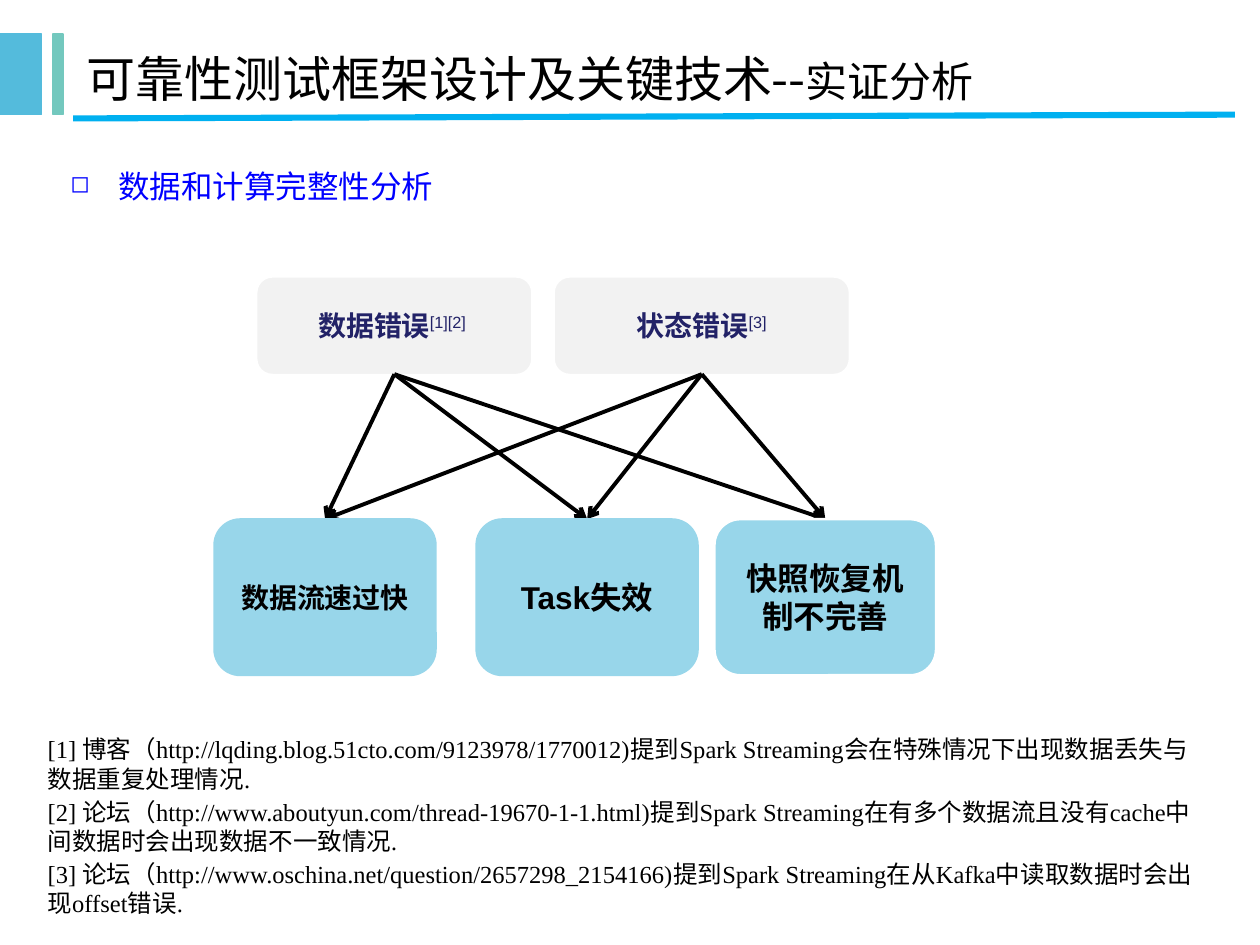
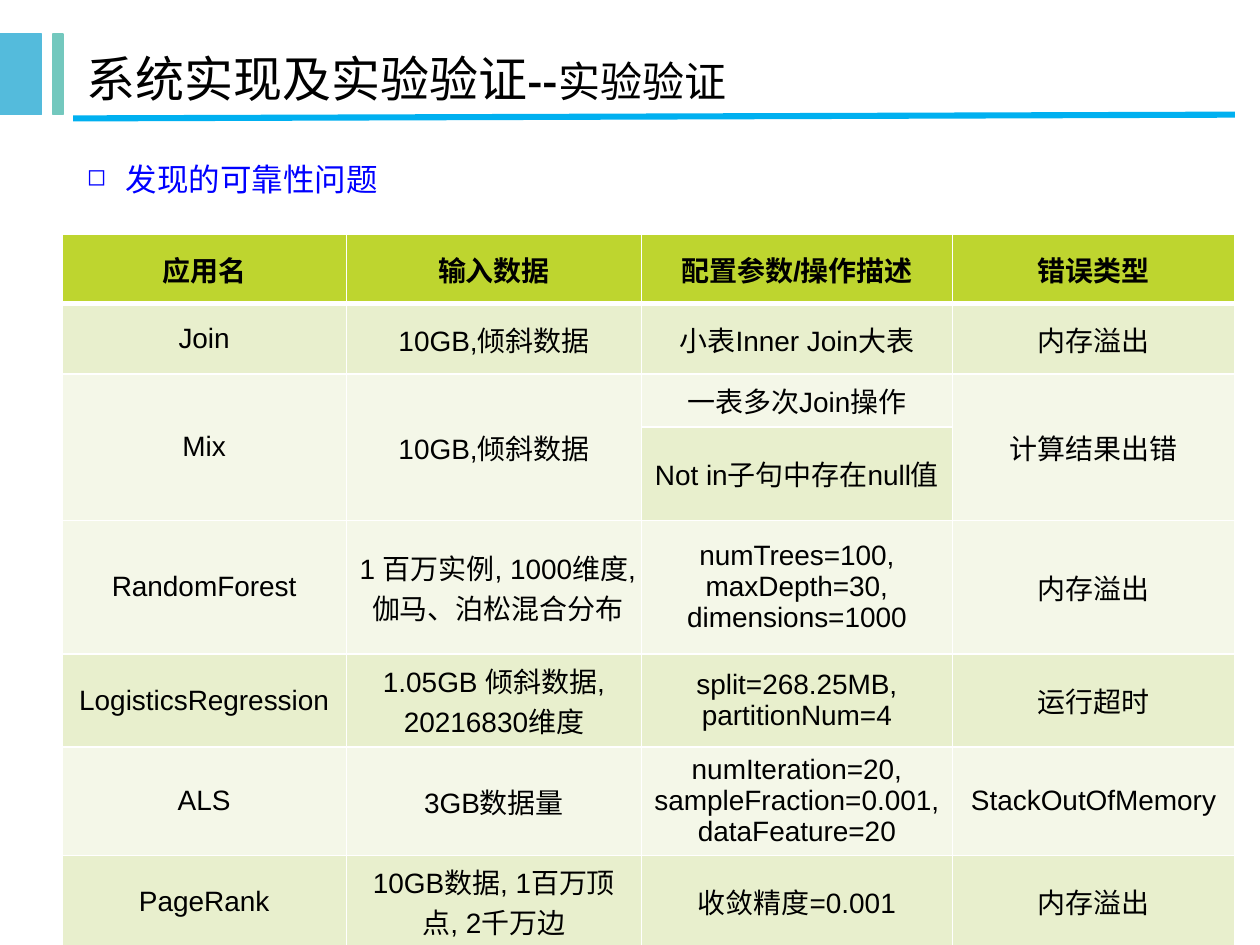
from pptx import Presentation
from pptx.dml.color import RGBColor as Rgb
from pptx.enum.shapes import MSO_CONNECTOR as Conn, MSO_SHAPE as Shp
from pptx.enum.text import MSO_ANCHOR as Anc, MSO_AUTO_SIZE as Fit, PP_ALIGN as Al
from pptx.oxml.ns import qn
from pptx.util import Inches, Pt
from lxml.etree import SubElement as Sub

hues = {
    "bar": "54BBDC", "strip": "73C8BE", "rule": "00B0F0", "black": "000000",
    "white": "FFFFFF", "blue": "0000FF", "navy": "222267", "grey": "F2F2F2",
    "sky": "98D6EA", "head": "BED52F", "odd": "E8EFCD", "even": "F4F7E8",
}
cjk = "Noto Sans CJK SC"


def rgb(key):
    return Rgb.from_string(hues[key])


def put(frame, text, size=16, font="Arial", east=None, hue="black", bold=False,
        align=Al.LEFT, anchor=Anc.TOP, gap=0, indent=0):
    frame.word_wrap = True
    frame.vertical_anchor = anchor
    paras = text if isinstance(text, list) else [text]
    for i, runs in enumerate(paras):
        para = frame.paragraphs[0] if i == 0 else frame.add_paragraph()
        para.alignment = align
        para.space_before = Pt(gap if i else 0)
        para.space_after = Pt(gap)
        if indent:
            props = para._p.get_or_add_pPr()
            props.set("marL", str(Inches(indent)))
            props.set("indent", str(-Inches(indent)))
            Sub(props, qn("a:buSzPct"), val="75000")
            Sub(props, qn("a:buChar"), char="◻")
        for part in [(runs, {})] if isinstance(runs, str) else runs:
            run = para.add_run()
            run.text, look = part
            face = run.font
            face.name = font
            face.size = Pt(look.get("size", size))
            face.bold = look.get("bold", bold)
            face.italic = look.get("slant", False)
            face.color.rgb = rgb(hue)
            mark = run._r.get_or_add_rPr()
            Sub(mark, qn("a:ea"), typeface=east or font)
            if look.get("sup"):
                mark.set("baseline", "30000")


deck = Presentation()
deck.slide_width, deck.slide_height = Inches(10), Inches(7.5)

heads = [
    [("可靠性测试框架设计及关键技术--", {}), ("实证分析", {"size": 24})],
    [("系统实现及实验验证", {}), ("--", {"size": 24, "bold": True}), ("实验验证", {"size": 24})],
]
topics = [
    ("数据和计算完整性分析", 0.46, 1.28, 6.67, 0.7, 0.38),
    ("发现的可靠性问题", 0.59, 1.22, 7.52, 0.4, 0.31),
]
tops = [
    (2.03, 2.2, [("数据错误", {}), ("[1][2] ", {"bold": False, "sup": True})]),
    (4.39, 2.36, [("状态错误", {}), ("[3]", {"bold": False, "sup": True})]),
]
lows = [
    (1.7, "数据流速过快", 16, "sky", 1),
    (3.78, "Task失效", 18, "sky", 1),
    (5.67, "快照恢复机制不完善", 18, "white", 1.5),
]

bars, lines, boxes = [], [], []
for n in range(2):
    bars += [(n, 0, 0.265, 0.33, 0.64, "bar"), (n, 0.42, 0.265, 0.08, 0.64, "strip")]
    lines.append((n, 0.58, 0.94, 9.8, 0.91, "rule", 3.5))
for start in (3.13, 5.57):
    for end in (2.58, 4.66, 6.55):
        lines.append((0, start, 2.97, end, 4.12, "black", 2.25))
for left, wide, text in tops:
    boxes.append((left, 2.19, wide, 0.79, text, 16, "grey", "white", 2, "navy"))
for left, text, size, edge, thick in lows:
    boxes.append((left, 4.12, 1.76, 1.24, text, size, "sky", edge, thick, "black"))

slides = []
for head, (text, left, top, wide, high, indent) in zip(heads, topics):
    slide = deck.slides.add_slide(deck.slide_layouts[5])
    slides.append(slide)
    title = slide.shapes.title
    title.left, title.top = Inches(0.59), Inches(0.27)
    title.width, title.height = Inches(8.91), Inches(0.69)
    title.text_frame.auto_size = Fit.NONE
    put(title.text_frame, [head], size=28, font=cjk, anchor=Anc.MIDDLE)
    topic = slide.shapes.add_textbox(Inches(left), Inches(top), Inches(wide), Inches(high))
    put(topic.text_frame, text, size=18, hue="blue", indent=indent)

for n, left, top, wide, high, hue in bars:
    bar = slides[n].shapes.add_shape(
        Shp.RECTANGLE, Inches(left), Inches(round(top, 2)), Inches(wide), Inches(high))
    bar.shadow.inherit = False
    bar.fill.solid()
    bar.fill.fore_color.rgb = bar.line.color.rgb = rgb(hue)
    bar.line.width = Pt(0.75)

for left, top, wide, high, text, size, fill, edge, thick, hue in boxes[:len(tops)]:
    pass

layers = [("box", item) for item in boxes[:len(tops)]]
layers += [("line", item) for item in lines]
layers += [("box", item) for item in boxes[len(tops):]]
for kind, item in layers:
    if kind == "line":
        n, x1, y1, x2, y2, hue, thick = item
        link = slides[n].shapes.add_connector(
            Conn.STRAIGHT, Inches(x1), Inches(y1), Inches(x2), Inches(y2))
        link.line.color.rgb = rgb(hue)
        link.line.width = Pt(thick)
        if hue == "black":
            Sub(link.line._get_or_add_ln(), qn("a:tailEnd"), type="arrow")
        Sub(link._element.spPr, qn("a:effectLst"))
    else:
        left, top, wide, high, text, size, fill, edge, thick, hue = item
        box = slides[0].shapes.add_shape(
            Shp.ROUNDED_RECTANGLE, Inches(left), Inches(top), Inches(wide), Inches(high))
        box.shadow.inherit = False
        box.fill.solid()
        box.fill.fore_color.rgb = rgb(fill)
        box.line.color.rgb = rgb(edge)
        box.line.width = Pt(thick)
        put(box.text_frame, [text], size=size, hue=hue, bold=True,
            align=Al.CENTER, anchor=Anc.MIDDLE)

notes = [
    "[1] 博客（http://lqding.blog.51cto.com/9123978/1770012)提到Spark Streaming会在特殊情况下出现数据丢失与数据重复处理情况.",
    [("[2] 论坛（http://www.aboutyun.com/thread-19670-1-1.html)提到Spark Streaming在有多个数据流且没有cache中间数据时会出现数据不一致情况", {}),
     (".", {"slant": True})],
    "[3] 论坛（http://www.oschina.net/question/2657298_2154166)提到Spark Streaming在从Kafka中读取数据时会出现offset错误.",
]
refs = slides[0].shapes.add_textbox(Inches(0.28), Inches(5.78), Inches(9.43), Inches(1.56))
put(refs.text_frame, notes, size=14, font="Times New Roman", east="Arial", gap=1)

rows = [
    ("应用名", "输入数据", "配置参数/操作描述", "错误类型"),
    ("Join", "10GB,倾斜数据", "小表Inner Join大表", "内存溢出"),
    ("Mix", "10GB,倾斜数据", "一表多次Join操作", "计算结果出错"),
    (None, None, "Not in子句中存在null值", None),
    ("RandomForest", "1 百万实例, 1000维度, 伽马、泊松混合分布",
     ["numTrees=100, maxDepth=30,", "dimensions=1000"], "内存溢出"),
    ("LogisticsRegression", "1.05GB 倾斜数据, 20216830维度",
     "split=268.25MB, partitionNum=4", "运行超时"),
    ("ALS", "3GB数据量",
     ["numIteration=20,", "sampleFraction=0.001,", "dataFeature=20"], "StackOutOfMemory"),
    ("PageRank", "10GB数据, 1百万顶点, 2千万边", "收敛精度=0.001", "内存溢出"),
]
wides = [2.26, 2.34, 2.47, 2.24]
highs = [0.55, 0.56, 0.42, 0.74, 1.06, 0.74, 0.84, 0.73]
grid = slides[1].shapes.add_table(
    len(rows), len(wides), Inches(0.49), Inches(1.86),
    Inches(sum(wides)), Inches(sum(highs))).table
for col, wide in zip(grid.columns, wides):
    col.width = Inches(wide)
for row, high in zip(grid.rows, highs):
    row.height = Inches(high)
for c in (0, 1, 3):
    grid.cell(2, c).merge(grid.cell(3, c))

shades = ["head", "odd", "even", "odd", "even", "odd", "even", "odd"]
for r, row in enumerate(rows):
    for c, text in enumerate(row):
        cell = grid.cell(r, c)
        props = cell._tc.get_or_add_tcPr()
        for side in "LRTB":
            heavy = (r == 0 and side == "B") or (r == 1 and side == "T")
            edge = Sub(props, qn(f"a:ln{side}"), w=str(Pt(3 if heavy else 1)))
            Sub(Sub(edge, qn("a:solidFill")), qn("a:srgbClr"), val=hues["white"])
        cell.fill.solid()
        cell.fill.fore_color.rgb = rgb(shades[r])
        cell.vertical_anchor = Anc.MIDDLE
        cell.margin_top = cell.margin_bottom = Inches(0.03)
        if text:
            put(cell.text_frame, text, east=cjk, bold=r == 0, align=Al.CENTER, anchor=None)

deck.save("out.pptx")
